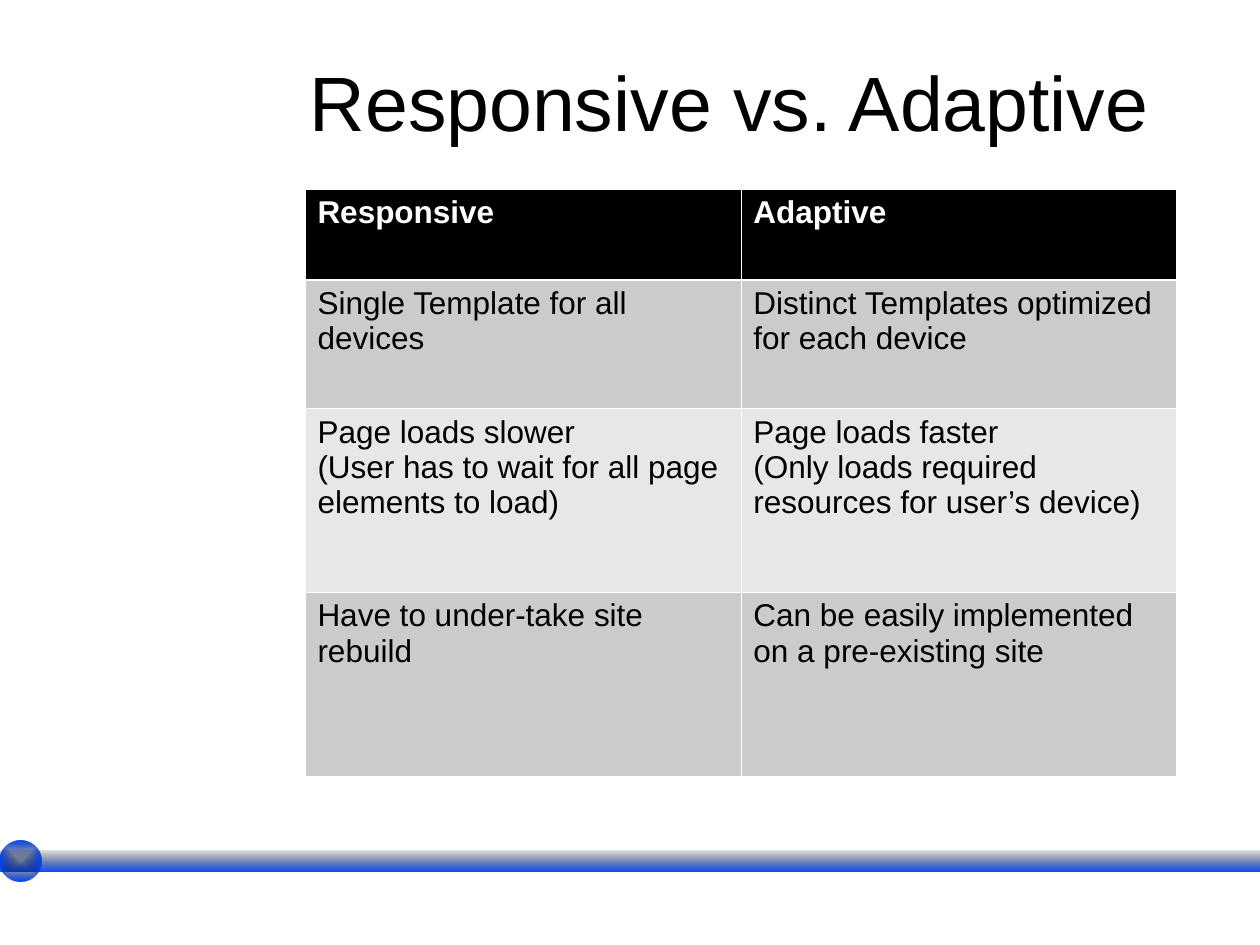
from lxml import etree
from pptx import Presentation
from pptx.dml.color import RGBColor
from pptx.enum import shapes, text
from pptx.oxml import parse_xml
from pptx.oxml.ns import nsdecls
from pptx.util import Inches, Pt

TITLE = "Responsive vs. Adaptive"
ROWS = [
    ("Responsive", "Adaptive"),
    ("Single Template for all devices",
     "Distinct Templates optimized for each device"),
    ("Page loads slower\n(User has to wait for all page elements to load)",
     "Page loads faster\n(Only loads required resources for user’s device)"),
    ("Have to under-take site rebuild",
     "Can be easily implemented on a pre-existing site"),
]
ROW_HEIGHTS = [0.72, 1.02, 1.46, 1.46]
COL_WIDTH = 3.46
THIN, THICK = 0.45, 1.47

FONT = "Arial"
BLACK = RGBColor(0x00, 0x00, 0x00)
WHITE = RGBColor(0xFF, 0xFF, 0xFF)
BLUE = RGBColor(0x00, 0x47, 0xFF)
DARK_BAND = RGBColor(0xCB, 0xCB, 0xCB)
LIGHT_BAND = RGBColor(0xE7, 0xE7, 0xE7)

LINEAR_DOWN = '<a:lin ang="5400000" scaled="0"/>'
FROM_CENTRE = ('<a:path path="rect"><a:fillToRect l="50000" t="50000" '
               'r="50000" b="50000"/></a:path>')


def set_font(p, size, color, bold=False):
    for r in p.runs:
        r.font.name = FONT
        r.font.size = Pt(size)
        r.font.bold = bold
        r.font.color.rgb = color


def add_gradient_shape(s, kind, box, direction):
    """Add a shape that fades from faint black to solid blue."""
    sp = s.shapes.add_shape(kind, *map(Inches, box))
    sp.shadow.inherit = False
    sp.line.fill.background()
    gradient = parse_xml(
        f'<a:gradFill {nsdecls("a")} rotWithShape="1"><a:gsLst>'
        f'<a:gs pos="0"><a:srgbClr val="{BLACK}"><a:alpha val="10000"/></a:srgbClr></a:gs>'
        f'<a:gs pos="100000"><a:srgbClr val="{BLUE}"/></a:gs>'
        f'</a:gsLst>{direction}</a:gradFill>')
    sp._element.spPr.find("{*}prstGeom").addnext(gradient)


def set_borders(cell, widths):
    """Draw white borders; widths are points for left, right, top, bottom."""
    tc_pr = cell._tc.get_or_add_tcPr()
    for i, (side, width) in enumerate(zip("LRTB", widths)):
        tc_pr.insert(i, parse_xml(
            f'<a:ln{side} {nsdecls("a")} w="{int(Pt(width))}"><a:solidFill>'
            f'<a:srgbClr val="{WHITE}"/></a:solidFill></a:ln{side}>'))


def add_comparison(s):
    frame = s.shapes.add_table(
        len(ROWS), 2, Inches(2.42), Inches(1.5),
        Inches(2 * COL_WIDTH), Inches(sum(ROW_HEIGHTS)))
    table = frame.table
    for col in table.columns:
        col.width = Inches(COL_WIDTH)
    for i, (row, height) in enumerate(zip(ROWS, ROW_HEIGHTS)):
        table.rows[i].height = Inches(height)
        header = i == 0
        band = BLACK if header else DARK_BAND if i % 2 else LIGHT_BAND
        top = THICK if i == 1 else THIN
        bottom = THICK if header else THIN
        for j, words in enumerate(row):
            cell = table.cell(i, j)
            cell.text_frame.text = words
            cell.fill.solid()
            cell.fill.fore_color.rgb = band
            set_borders(cell, (THIN, THIN, top, bottom))
            for p in cell.text_frame.paragraphs:
                set_font(p, 18, WHITE if header else BLACK, header)


def main():
    prs = Presentation()
    prs.slide_width, prs.slide_height = Inches(10), Inches(7.5)
    s = prs.slides.add_slide(prs.slide_layouts[5])

    title = s.shapes.title
    title.left, title.top = Inches(1.75), Inches(0.17)
    title.width, title.height = Inches(8.08), Inches(1.26)
    tf = title.text_frame
    tf.text = TITLE
    tf.vertical_anchor = text.MSO_ANCHOR.MIDDLE
    p = tf.paragraphs[0]
    p.alignment = text.PP_ALIGN.CENTER
    set_font(p, 44, BLACK)

    kinds = shapes.MSO_SHAPE
    add_gradient_shape(s, kinds.RECTANGLE, (0, 6.75, 10, 0.17), LINEAR_DOWN)
    add_gradient_shape(s, kinds.OVAL, (0, 6.67, 0.33, 0.33), FROM_CENTRE)
    add_comparison(s)
    prs.save("out.pptx")


if __name__ == "__main__":
    main()
